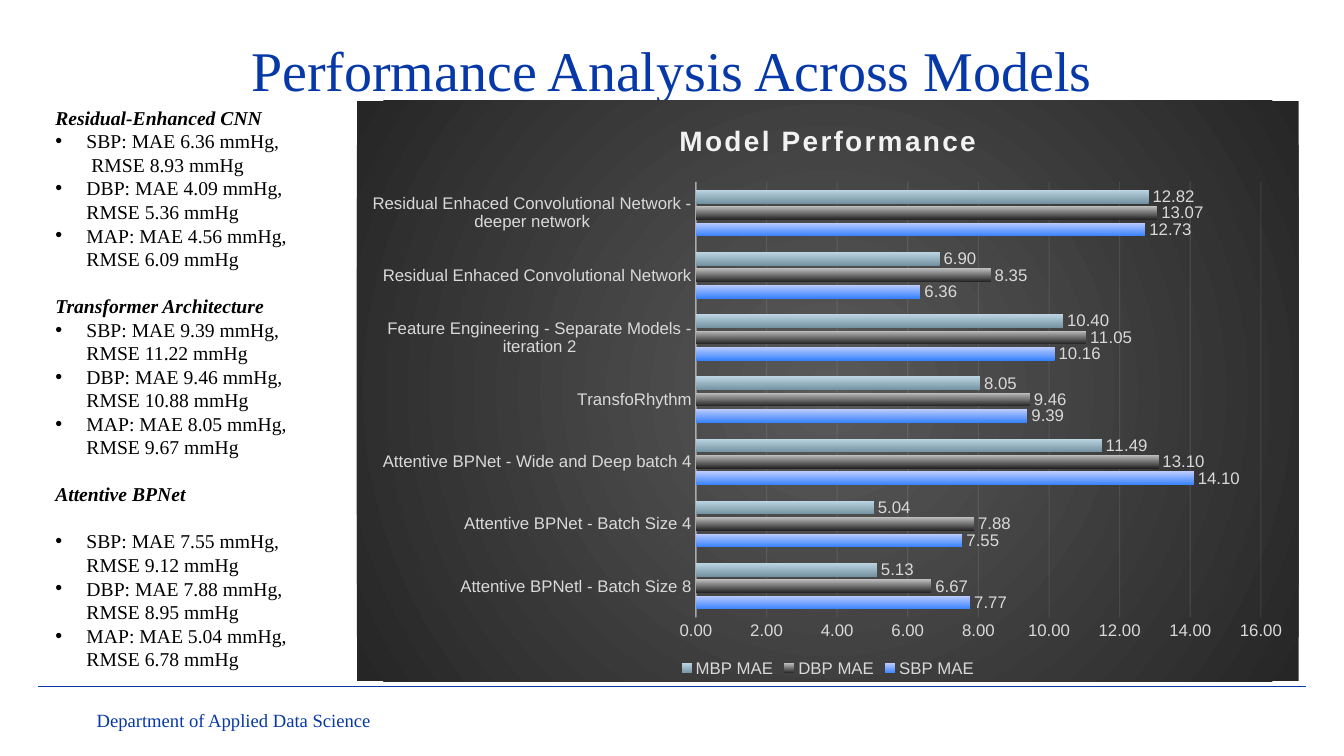
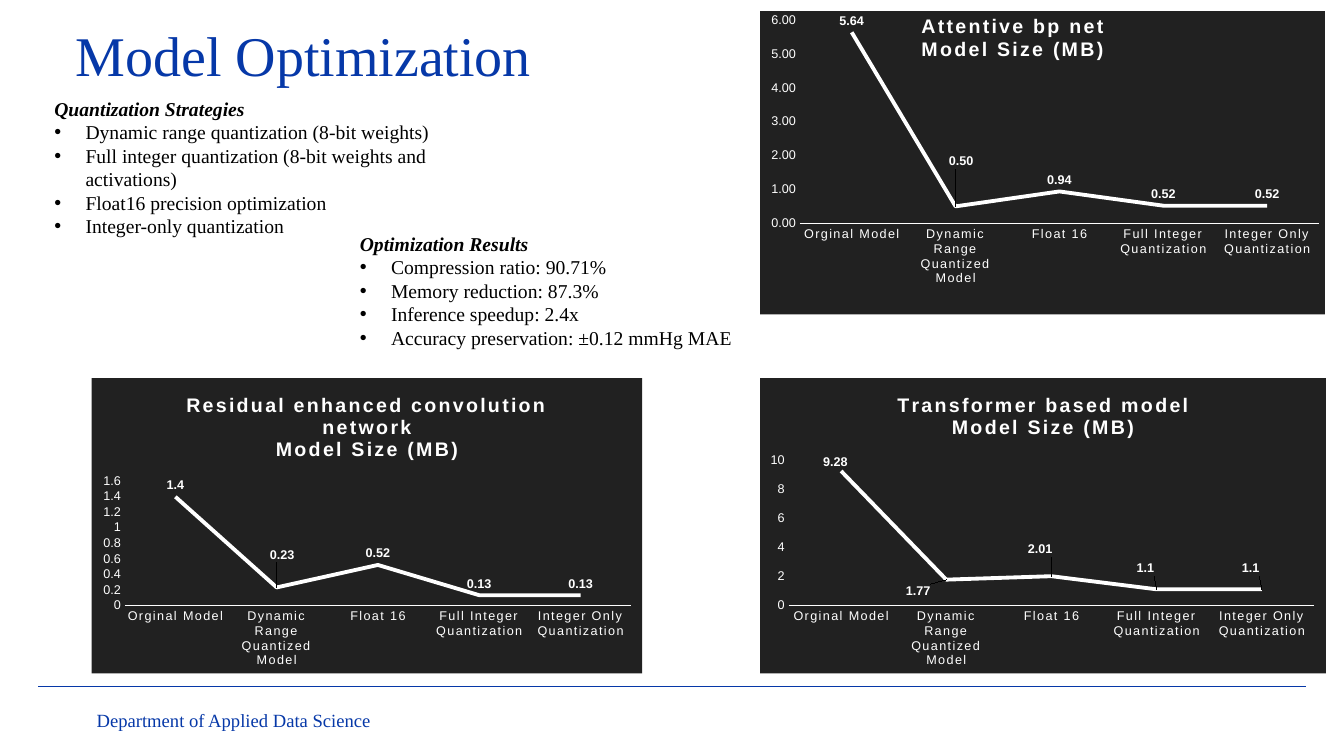
import pptx
import pptx.chart.data
import pptx.dml.color
import pptx.enum.chart
import pptx.enum.shapes
import pptx.enum.text
import pptx.oxml
import pptx.oxml.ns
import pptx.util
from lxml import etree

Inches = pptx.util.Inches
Pt = pptx.util.Pt
qn = pptx.oxml.ns.qn
CHART = pptx.enum.chart.XL_CHART_TYPE
LABEL = pptx.enum.chart.XL_LABEL_POSITION

SERIF, SANS = "Times New Roman", "Arial"
BLUE, BLACK, WHITE, PALE, SILVER, DARK = "0638A8", "000000", "FFFFFF", "F2F2F2", "D9D9D9", "212121"
FOOTER = "Department of Applied Data Science"
LINE_HEIGHT = 16.8

MODEL_RESULTS = [
    ("Residual-Enhanced CNN", 0, [
        "SBP: MAE 6.36 mmHg,\n RMSE 8.93 mmHg",
        "DBP: MAE 4.09 mmHg,\nRMSE 5.36 mmHg",
        "MAP: MAE 4.56 mmHg,\nRMSE 6.09 mmHg"]),
    ("Transformer Architecture", 0, [
        "SBP: MAE 9.39 mmHg,\nRMSE 11.22 mmHg",
        "DBP: MAE 9.46 mmHg,\nRMSE 10.88 mmHg",
        "MAP: MAE 8.05 mmHg,\nRMSE 9.67 mmHg"]),
    ("Attentive BPNet", LINE_HEIGHT, [
        "SBP: MAE 7.55 mmHg,\nRMSE 9.12 mmHg",
        "DBP: MAE 7.88 mmHg,\nRMSE 8.95 mmHg",
        "MAP: MAE 5.04 mmHg,\nRMSE 6.78 mmHg"]),
]
STRATEGIES = [("Quantization Strategies", 0, [
    "Dynamic range quantization (8-bit weights)",
    "Full integer quantization (8-bit weights and activations)",
    "Float16 precision optimization",
    "Integer-only quantization"])]
OPTIMIZATION = [("Optimization Results", 0, [
    "Compression ratio: 90.71%",
    "Memory reduction: 87.3%",
    "Inference speedup: 2.4x",
    "Accuracy preservation: ±0.12 mmHg MAE"])]

MODELS = [
    "Attentive BPNetl - Batch Size 8",
    "Attentive BPNet - Batch Size 4",
    "Attentive BPNet - Wide and Deep batch 4",
    "TransfoRhythm",
    "Feature Engineering - Separate Models - iteration 2",
    "Residual Enhaced Convolutional Network",
    "Residual Enhaced Convolutional Network - deeper network",
]
ERRORS = [
    ("SBP MAE", [7.77, 7.55, 14.1, 9.39, 10.16, 6.36, 12.73], ("3782FF", "BBCBFF")),
    ("DBP MAE", [6.67, 7.88, 13.1, 9.46, 11.05, 8.35, 13.07], ("212121", "BDBDBD")),
    ("MBP MAE", [5.13, 5.04, 11.49, 8.05, 10.4, 6.9, 12.82], ("7392A1", "BDD5E2")),
]
VARIANTS = ["Orginal Model", "Dynamic Range Quantized Model", "Float 16",
            "Full Integer Quantization", "Integer Only Quantization"]
SIZE_CHARTS = [
    dict(title="Attentive bp net", kind=CHART.LINE_STACKED, at=(7.54, 0.11, 5.6, 3.01),
         values=[5.64, 0.5, 0.94, 0.52, 0.52], top=6, step=1, number="0.00",
         area=(0.07, 0.03, 0.92, 0.67), title_at=(0.28, 0), position=LABEL.ABOVE,
         shifts={1: (0.01, -0.11)}),
    dict(title="Transformer based model", kind=CHART.LINE, at=(7.54, 3.75, 5.61, 2.93),
         values=[9.28, 1.77, 2.01, 1.1, 1.1], top=10, step=2, number="General",
         area=(0.05, 0.28, 0.93, 0.49), title_at=None, position=LABEL.CENTER,
         shifts={0: (-0.01, -0.03), 1: (-0.05, 0.04), 2: (-0.02, -0.09),
                 3: (-0.02, -0.07), 4: (-0.02, -0.07)}),
    dict(title="Residual enhanced convolution network", kind=CHART.LINE,
         at=(0.91, 3.75, 5.46, 2.93),
         values=[1.4, 0.23, 0.52, 0.13, 0.13], top=1.6, step=0.2, number="General",
         area=(0.06, 0.35, 0.92, 0.42), title_at=None, position=LABEL.ABOVE,
         shifts={1: (0.01, -0.07)}),
]


def color(value):
    return pptx.dml.color.RGBColor.from_string(value)


def style(font, size, tint, name=SANS, bold=False, italic=False):
    font.size, font.name, font.bold, font.italic = Pt(size), name, bold, italic
    font.color.rgb = color(tint)


def add_text(para, text, **look):
    for index, piece in enumerate(text.split("\n")):
        if index:
            para.add_line_break()
            etree.SubElement(para._p[-1], qn("a:rPr"), sz=str(int(look["size"] * 100)))
        span = para.add_run()
        span.text = piece
        style(span.font, **look)


def add_box(page, at, inset=None, anchor=pptx.enum.text.MSO_ANCHOR.TOP):
    frame = page.shapes.add_textbox(*map(Inches, at)).text_frame
    frame.word_wrap = True
    frame.vertical_anchor = anchor
    if inset:
        frame.margin_left = frame.margin_right = Inches(inset)
        frame.margin_top = frame.margin_bottom = Inches(inset)
    return frame


def indent(para, left, first):
    props = para._p.get_or_add_pPr()
    props.set("marL", str(Inches(left)))
    props.set("indent", str(Inches(first)))
    return props


def add_page(deck, title, at):
    page = deck.slides.add_slide(deck.slide_layouts[6])
    rule = page.shapes.add_connector(pptx.enum.shapes.MSO_CONNECTOR.STRAIGHT,
                                     Inches(0.38), Inches(6.81), Inches(12.95), Inches(6.81))
    rule.line.color.rgb, rule.line.width = color(BLUE), Pt(0.75)
    etree.SubElement(rule._element.spPr, qn("a:effectLst"))
    para = add_box(page, (0.74, 6.9, 4, 0.46), 0.1).paragraphs[0]
    indent(para, 0.5, -0.38)
    para.line_spacing = 1.15
    add_text(para, FOOTER, size=13.3, tint=BLUE, name=SERIF)
    para = add_box(page, at, 0.1, pptx.enum.text.MSO_ANCHOR.MIDDLE).paragraphs[0]
    para.alignment = pptx.enum.text.PP_ALIGN.CENTER
    add_text(para, title, size=40, tint=BLUE, name=SERIF)
    return page


def add_lists(page, at, groups):
    frame = add_box(page, at)
    for number, (heading, gap, items) in enumerate(groups):
        para = frame.add_paragraph() if number else frame.paragraphs[0]
        if number:
            para.space_before = Pt(LINE_HEIGHT)
        add_text(para, heading, size=14, tint=BLACK, name=SERIF, bold=True, italic=True)
        for index, item in enumerate(items):
            para = frame.add_paragraph()
            props = indent(para, 0.31, -0.31)
            etree.SubElement(props, qn("a:buFont"), typeface=SANS)
            etree.SubElement(props, qn("a:buChar"), char="•")
            if gap and index == 0:
                para.space_before = Pt(gap)
            add_text(para, item, size=14, tint=BLACK, name=SERIF)


def make_layout(places, inner=False):
    layout = etree.Element(qn("c:layout"))
    manual = etree.SubElement(layout, qn("c:manualLayout"))
    if inner:
        etree.SubElement(manual, qn("c:layoutTarget"), val="inner")
    if inner is not None:
        for mode in ("xMode", "yMode"):
            etree.SubElement(manual, qn("c:" + mode), val="edge")
    for side, value in zip("xywh", places):
        etree.SubElement(manual, qn("c:" + side), val=str(value))
    return layout


def set_layout(parent, layout, after=None):
    for old in parent.findall(qn("c:layout")):
        parent.remove(old)
    if after is None:
        parent.insert(0, layout)
    else:
        parent.find(qn(after)).addnext(layout)


def set_background(chart, fill):
    names = 'xmlns:c="%s" xmlns:a="%s"' % (pptx.oxml.ns.nsuri("c"), pptx.oxml.ns.nsuri("a"))
    props = pptx.oxml.parse_xml(
        f"<c:spPr {names}>{fill}<a:ln><a:noFill/></a:ln></c:spPr>")
    chart._chartSpace.find(qn("c:chart")).addnext(props)


def set_line(line, tint, width, opacity=100):
    line.color.rgb, line.width = color(tint), Pt(width)
    if opacity < 100:
        for node in line._get_or_add_ln().iter(qn("a:srgbClr")):
            etree.SubElement(node, qn("a:alpha"), val=str(opacity * 1000))


def add_chart(page, kind, at, categories, series, number, titles, title_size, title_tint,
              size, tint, top, step, area, title_at=None, axis_opacity=100):
    data = pptx.chart.data.CategoryChartData(number_format=number)
    data.categories = categories
    for name, values in series:
        data.add_series(name, values)
    chart = page.shapes.add_chart(kind, *map(Inches, at), data).chart
    style(chart.font, size, tint)
    chart.has_legend = False
    frame = chart.chart_title.text_frame
    for index, text in enumerate(titles):
        para = frame.add_paragraph() if index else frame.paragraphs[0]
        add_text(para, text, size=title_size, tint=title_tint, bold=True)
        para.runs[0].font._element.set("spc", "150")
    chart.chart_title.include_in_layout = False
    if title_at:
        set_layout(chart.chart_title._element, make_layout(title_at), "c:tx")
    set_layout(chart._chartSpace.chart.plotArea, make_layout(area, True))
    for axis in (chart.category_axis, chart.value_axis):
        axis.major_tick_mark = axis.minor_tick_mark = pptx.enum.chart.XL_TICK_MARK.NONE
        axis.has_major_gridlines = False
        style(axis.tick_labels.font, size, tint)
    set_line(chart.category_axis.format.line, title_tint, 1, axis_opacity)
    scale = chart.value_axis
    scale.format.line.fill.background()
    scale.minimum_scale, scale.maximum_scale, scale.major_unit = 0, top, step
    scale.tick_labels.number_format = number
    scale.tick_labels.number_format_is_linked = False
    chart.plots[0].vary_by_categories = False
    return chart


def label_series(series, position, number, **look):
    labels = series.data_labels
    labels.show_value, labels.position = True, position
    labels.number_format, labels.number_format_is_linked = number, False
    style(labels.font, **look)


def add_error_chart(page):
    chart = add_chart(page, CHART.BAR_CLUSTERED, (3.54, 1, 9.34, 5.76), MODELS,
                      [entry[:2] for entry in ERRORS], "0.00", ["Model Performance"],
                      20, PALE, 12, SILVER, 16, 2, (0.36, 0.14, 0.6, 0.75), axis_opacity=54)
    set_background(chart, '<a:gradFill><a:gsLst><a:gs pos="0"><a:srgbClr val="595959"/></a:gs>'
                   '<a:gs pos="100000"><a:srgbClr val="262626"/></a:gs></a:gsLst>'
                   '<a:path path="circle"><a:fillToRect l="50000" t="50000" r="50000" b="50000"/>'
                   '</a:path></a:gradFill>')
    chart.value_axis.has_major_gridlines = True
    set_line(chart.value_axis.major_gridlines.format.line, PALE, 0.75, 10)
    chart.has_legend = True
    chart.legend.position = pptx.enum.chart.XL_LEGEND_POSITION.BOTTOM
    chart.legend.include_in_layout = False
    style(chart.legend.font, 12, SILVER)
    plot = chart.plots[0]
    plot.gap_width, plot.overlap = 115, -20
    for series, (_, _, tints) in zip(plot.series, ERRORS):
        series.invert_if_negative = False
        fill = series.format.fill
        fill.gradient()
        fill.gradient_angle = 90
        for stop, tint, place in zip(fill.gradient_stops, tints, (0, 1)):
            stop.color.rgb, stop.position = color(tint), place
        label_series(series, LABEL.OUTSIDE_END, "0.00", size=12, tint=SILVER)


def add_size_chart(page, title, kind, at, values, top, step, number, area, title_at,
                   position, shifts):
    chart = add_chart(page, kind, at, VARIANTS, [("Series 1", values)], number,
                      [title, "Model Size (MB)"], 14, WHITE, 9, WHITE, top, step, area, title_at)
    set_background(chart, f'<a:solidFill><a:srgbClr val="{DARK}"/></a:solidFill>')
    chart.category_axis.tick_labels.font._element.set("spc", "100")
    series = chart.plots[0].series[0]
    series.smooth = False
    series.marker.style = pptx.enum.chart.XL_MARKER_STYLE.NONE
    set_line(series.format.line, WHITE, 2.75)
    label_series(series, position, number, size=9, tint=WHITE, bold=True)
    for index, shift in shifts.items():
        label = series.points[index].data_label
        style(label.font, 9, WHITE, bold=True)
        label.position = position
        set_layout(label._get_or_add_dLbl(), make_layout(shift, None), "c:idx")


def main():
    deck = pptx.Presentation()
    deck.slide_width, deck.slide_height = Inches(13.33), Inches(7.5)
    page = add_page(deck, "Performance Analysis Across Models", (0.45, 0.25, 12.42, 0.88))
    add_lists(page, (0.45, 1, 2.93, 5.99), MODEL_RESULTS)
    add_error_chart(page)
    page = add_page(deck, "Model Optimization", (0.45, 0.1, 5.12, 0.88))
    add_lists(page, (0.44, 0.91, 4, 1.51), STRATEGIES)
    for entry in SIZE_CHARTS:
        add_size_chart(page, **entry)
    add_lists(page, (3.47, 2.25, 3.89, 1.28), OPTIMIZATION)
    deck.save("out.pptx")


if __name__ == "__main__":
    main()
